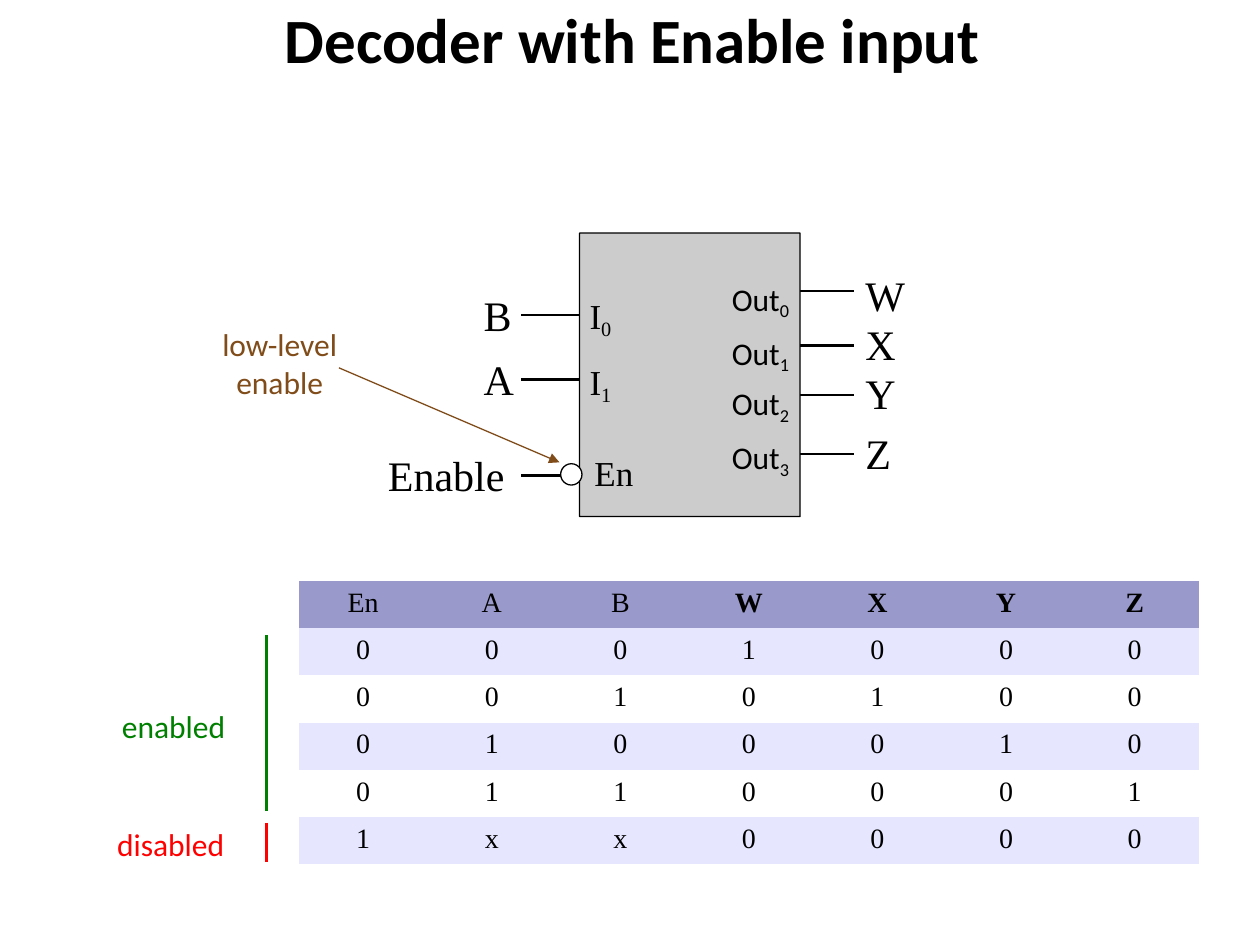
from lxml import etree
from pptx import Presentation
from pptx.dml.color import RGBColor
from pptx.enum import shapes, text
from pptx.oxml import ns
from pptx.util import Pt

COLORS = {
    "ink": "000000", "paper": "FFFFFF", "block": "CCCCCC", "header": "9999CC",
    "band": "E6E6FF", "enabled": "008000", "disabled": "FF0000", "note": "804C19",
}
SANS, SERIF = "Calibri", "Times New Roman"
WIRE_WIDTH, OUTLINE_WIDTH, BORDER_WIDTH = 1.45, 0.75, 0.03
WIRE_LENGTH = 54

# name, name left, name top, wire height
INPUTS = [("B", 269.3, 162.7, 180), ("A", 269.3, 199.4, 217),
          ("Enable", 214.6, 254.2, 271.8)]
# name, name top, pin top, wire height
OUTPUTS = [("W", 151.2, 154.8, 166.3), ("X", 179.3, 185.8, 197.3),
           ("Y", 207.4, 214.6, 225.6), ("Z", 241.2, 245.5, 259.4)]
TRUTH_TABLE = [
    ["En", "A", "B", "W", "X", "Y", "Z"],
    "0001000", "0010100", "0100010", "0110001", "1xx0000",
]


def rgb(name):
    return RGBColor.from_string(COLORS[name])


def format_paragraph(paragraph, size, font=SERIF, color="ink", bold=False, align="LEFT"):
    """Style a paragraph and its runs; serif lines are set slightly tighter."""
    paragraph.alignment = getattr(text.PP_ALIGN, align)
    if font == SERIF:
        paragraph.line_spacing = 0.95
    for run in paragraph.runs:
        run.font.name, run.font.size, run.font.bold = font, Pt(size), bold
        run.font.color.rgb = rgb(color)


def add_label(slide, words, box, size, subscript="", inset=(7.2, 5, 7.2, 3.6),
              wrap=False, **style):
    label = slide.shapes.add_textbox(*map(Pt, box))
    frame = label.text_frame
    frame.word_wrap = wrap
    frame.margin_left, frame.margin_top, frame.margin_right, frame.margin_bottom = map(Pt, inset)
    frame.text = words
    if subscript:
        lowered = frame.paragraphs[0].add_run()
        lowered.text = subscript
        lowered._r.get_or_add_rPr().set("baseline", "-20000")
    for paragraph in frame.paragraphs:
        format_paragraph(paragraph, size, **style)


def add_line(slide, start, end, color="ink", width=WIRE_WIDTH, arrow=False):
    line = slide.shapes.add_connector(
        shapes.MSO_CONNECTOR.STRAIGHT, *map(Pt, (*start, *end)))
    line.line.color.rgb = rgb(color)
    line.line.width = Pt(width)
    if arrow:
        etree.SubElement(line.line._get_or_add_ln(), ns.qn("a:tailEnd"), type="triangle")
    etree.SubElement(line._element.spPr, ns.qn("a:effectLst"))


def add_outlined(slide, kind, box, fill):
    shape = slide.shapes.add_shape(kind, *map(Pt, box))
    shape.shadow.inherit = False
    shape.fill.solid()
    shape.fill.fore_color.rgb = rgb(fill)
    shape.line.color.rgb = rgb("ink")
    shape.line.width = Pt(OUTLINE_WIDTH)
    return shape


def add_borders(cell):
    """Hairline on all four sides, placed ahead of the cell's fill."""
    properties = cell._tc.get_or_add_tcPr()
    for index, side in enumerate(("lnL", "lnR", "lnT", "lnB")):
        border = etree.Element(ns.qn(f"a:{side}"), w=str(Pt(BORDER_WIDTH)))
        fill = etree.SubElement(border, ns.qn("a:solidFill"))
        etree.SubElement(fill, ns.qn("a:srgbClr"), val=COLORS["ink"])
        properties.insert(index, border)


def add_truth_table(slide):
    row_count, column_count = len(TRUTH_TABLE), len(TRUTH_TABLE[0])
    table = slide.shapes.add_table(
        row_count, column_count, Pt(170.8), Pt(332), Pt(514.5), Pt(162)).table
    for column in table.columns:
        column.width = Pt(73.5)
    for r, values in enumerate(TRUTH_TABLE):
        table.rows[r].height = Pt(27)
        for c, value in enumerate(values):
            cell = table.cell(r, c)
            cell.text = value
            cell.margin_top, cell.margin_bottom = Pt(4.3), Pt(3.6)
            cell.fill.solid()
            cell.fill.fore_color.rgb = rgb(
                "header" if r == 0 else "band" if r % 2 else "paper")
            add_borders(cell)
            format_paragraph(cell.text_frame.paragraphs[0], 16,
                             bold=r == 0 and c > 2, align="CENTER")


def add_row_marker(slide, words, label_box, top, bottom):
    add_line(slide, (152.4, top), (152.4, bottom), words)
    add_label(slide, words, label_box, 18, font=SANS, color=words)


def add_decoder(slide):
    for *_, y in INPUTS:
        add_line(slide, (298, y), (298 + WIRE_LENGTH, y))
    for *_, y in OUTPUTS:
        add_line(slide, (434, y), (434 + WIRE_LENGTH, y))
    block = add_outlined(slide, shapes.MSO_SHAPE.ROUNDED_RECTANGLE,
                         (331.2, 133.2, 126, 162), "block")
    block.adjustments[0] = 0.001

    for name, left, top, _ in INPUTS:
        add_label(slide, name, (left, top, 81.4 if name == "Enable" else 31.7, 33.8), 24)
    for index, (name, top, pin_top, _) in enumerate(OUTPUTS):
        width = 36.7 if name == "W" else 31.7
        add_label(slide, name, (487.4, top, width, 33.8), 24)
        add_label(slide, "Out", (411.1, pin_top, 50, 29.5), 18, str(index), font=SANS)

    pin_inset = (7.2, 4.3, 7.2, 3.6)
    for index, top in enumerate((164.2, 201.6)):
        add_label(slide, "I", (329.8, top, 29, 31.7), 20, str(index), pin_inset)
    add_label(slide, "En", (332.6, 255.6, 37.5, 29.5), 20, inset=pin_inset)
    add_outlined(slide, shapes.MSO_SHAPE.OVAL, (320.4, 265, 12.2, 12.2), "paper")


def main():
    deck = Presentation()
    deck.slide_width, deck.slide_height = Pt(720), Pt(540)
    slide = deck.slides.add_slide(deck.slide_layouts[6])

    add_label(slide, "Decoder with Enable input", (48.2, 0, 626.4, 87), 36,
              inset=(0, 0, 0, 0), wrap=True, font=SANS, bold=True, align="CENTER")
    add_truth_table(slide)
    add_row_marker(slide, "enabled", (62.6, 398.9, 77.8, 27.4), 362.9, 463.7)
    add_row_marker(slide, "disabled", (59.8, 466.6, 80.6, 27.4), 470.2, 492.5)
    add_decoder(slide)
    add_label(slide, "low-level\nenable", (118.1, 180.7, 83.5, 47.5), 18,
              font=SANS, color="note", align="CENTER")
    add_line(slide, (193.7, 210.2), (319.7, 264.2), "note", OUTLINE_WIDTH, arrow=True)
    deck.save("out.pptx")


if __name__ == "__main__":
    main()
